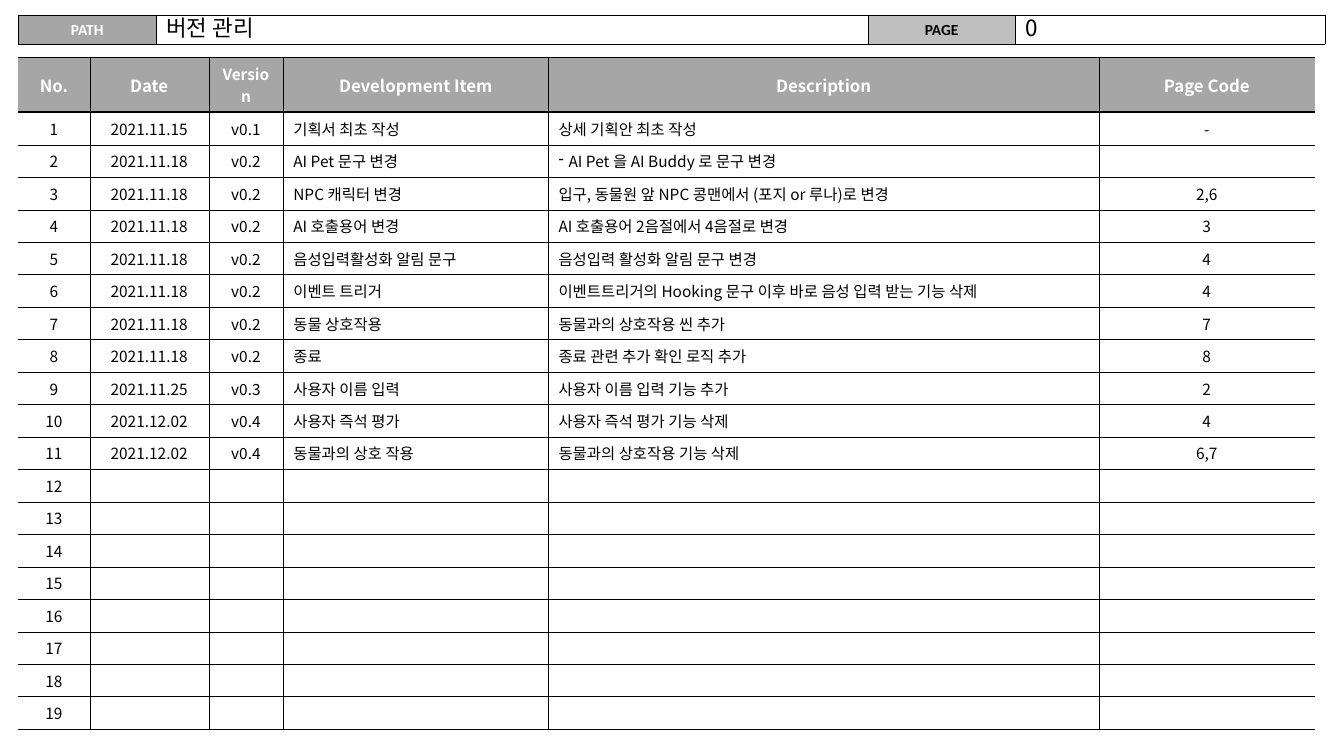
from dataclasses import dataclass

from lxml.etree import SubElement
from pptx import Presentation
from pptx.dml.color import RGBColor
from pptx.enum.text import MSO_ANCHOR, MSO_AUTO_SIZE, PP_ALIGN
from pptx.oxml.ns import qn
from pptx.util import Emu, Inches, Pt

WIDE, HIGH = Inches(13.33), Inches(7.5)
BLACK = RGBColor(0x00, 0x00, 0x00)
WHITE = RGBColor(0xFF, 0xFF, 0xFF)
GRAY = RGBColor(0xA6, 0xA6, 0xA6)
SILVER = RGBColor(0xBF, 0xBF, 0xBF)
SANS, LATIN = "Noto Sans CJK KR", "Calibri"
THIN, THICK = 0.25, 1.5
LEFT, TOP = 1.35, 2.0  # percent of the slide


@dataclass
class Look:
    font: str = SANS
    size: float = 11
    color: RGBColor = BLACK
    bold: bool = False
    fill: RGBColor | None = None
    align: PP_ALIGN = PP_ALIGN.CENTER


@dataclass
class Grid:
    top: float
    cols: list[float]
    rows: list[float]


@dataclass
class Field:
    slot: int
    text: str
    left: float
    width: float


@dataclass
class Entry:
    date: str = ""
    version: str = ""
    item: str = ""
    detail: str = ""
    page: str = ""


BAR = Grid(TOP, [10.28, 52.96, 10.95, 23.03], [3.8])
LOG = Grid(7.6, [5.33, 8.85, 5.55, 19.73, 40.96, 16.05], [7.2] + [4.29] * 19)

FIELDS = [
    Field(0, "버전 관리", LEFT + BAR.cols[0], BAR.cols[1]),
    Field(1, "0", LEFT + sum(BAR.cols[:3]), BAR.cols[3]),
]

HEADS = ["No.", "Date", "Version", "Development Item", "Description", "Page Code"]
DAY = "2021.11.18"
ENTRIES = [
    Entry("2021.11.15", "v0.1", "기획서 최초 작성", "상세 기획안 최초 작성", "-"),
    Entry(DAY, "v0.2", "AI Pet 문구 변경", "- AI Pet 을 AI Buddy 로 문구 변경"),
    Entry(DAY, "v0.2", "NPC 캐릭터 변경",
          "입구, 동물원 앞 NPC 콩맨에서 (포지 or 루나)로 변경", "2,6"),
    Entry(DAY, "v0.2", "AI 호출용어 변경", "AI 호출용어 2음절에서 4음절로 변경", "3"),
    Entry(DAY, "v0.2", "음성입력활성화 알림 문구", "음성입력 활성화 알림 문구 변경", "4"),
    Entry(DAY, "v0.2", "이벤트 트리거",
          "이벤트트리거의 Hooking 문구 이후 바로 음성 입력 받는 기능 삭제", "4"),
    Entry(DAY, "v0.2", "동물 상호작용", "동물과의 상호작용 씬 추가", "7"),
    Entry(DAY, "v0.2", "종료", "종료 관련 추가 확인 로직 추가", "8"),
    Entry("2021.11.25", "v0.3", "사용자 이름 입력", "사용자 이름 입력 기능 추가", "2"),
    Entry("2021.12.02", "v0.4", "사용자 즉석 평가", "사용자 즉석 평가 기능 삭제", "4"),
    Entry("2021.12.02", "v0.4", "동물과의 상호 작용", "동물과의 상호작용 기능 삭제", "6,7"),
]


def across(share: float) -> Emu:
    return Emu(int(WIDE * share / 100))


def down(share: float) -> Emu:
    return Emu(int(HIGH * share / 100))


def style(line, look: Look) -> None:
    """Format the runs of a paragraph, or the size of an empty one."""
    line.alignment = look.align
    for run in line.runs:
        font = run.font
        font.name, font.size, font.bold = look.font, Pt(look.size), look.bold
        font.color.rgb = look.color
        SubElement(run._r.get_or_add_rPr(), qn("a:ea"), typeface=look.font)
    if not line.runs:
        end = SubElement(line._p, qn("a:endParaRPr"), sz=str(int(look.size * 100)))
        for tag in ("a:latin", "a:ea"):
            SubElement(end, qn(tag), typeface=look.font)


def border(cell, sides: dict[str, float]) -> None:
    """Draw the given sides in black; a width of zero means no line."""
    props = cell._tc.get_or_add_tcPr()
    for side in "LRTB":
        width = sides[side]
        edge = SubElement(props, qn(f"a:ln{side}"), w=str(Pt(width)))
        if width:
            paint = SubElement(edge, qn("a:solidFill"))
            SubElement(paint, qn("a:srgbClr"), val=str(BLACK))
        else:
            SubElement(edge, qn("a:noFill"))


def dash(line) -> None:
    props = line._p.get_or_add_pPr()
    props.set("marL", str(Inches(0.1)))
    props.set("indent", str(Inches(-0.1)))
    SubElement(props, qn("a:buChar"), char="-")


def write(cell, text: str, look: Look, sides: dict[str, float]) -> None:
    border(cell, sides)
    if look.fill is None:
        cell.fill.background()
    else:
        cell.fill.solid()
        cell.fill.fore_color.rgb = look.fill
    cell.vertical_anchor = MSO_ANCHOR.MIDDLE
    line = cell.text_frame.paragraphs[0]
    if text.startswith("- "):
        dash(line)
    line.text = text.removeprefix("- ")
    style(line, look)


def lay(slide, grid: Grid):
    """Add an unbanded table sized by the grid."""
    table = slide.shapes.add_table(
        len(grid.rows), len(grid.cols), across(LEFT), down(grid.top),
        across(sum(grid.cols)), down(sum(grid.rows))).table
    table.first_row = table.horz_banding = False
    for col, share in zip(table.columns, grid.cols):
        col.width = across(share)
    for row, share in zip(table.rows, grid.rows):
        row.height = down(share)
    return table


def draw_bar(slide) -> None:
    table = lay(slide, BAR)
    blank = Look(LATIN)
    looks = [Look(LATIN, color=WHITE, bold=True, fill=GRAY), blank,
             Look(LATIN, bold=True, fill=SILVER), blank]
    for col, (text, look) in enumerate(zip(["PATH", "", "PAGE", ""], looks)):
        write(table.cell(0, col), text, look, dict.fromkeys("LRTB", THIN))


def draw_log(slide) -> None:
    table = lay(slide, LOG)
    count, last = len(LOG.rows) - 1, len(HEADS) - 1
    blanks = [Entry()] * (count - len(ENTRIES))
    body = [[str(num), e.date, e.version, e.item, e.detail, e.page]
            for num, e in enumerate(ENTRIES + blanks, 1)]
    for row, texts in enumerate([HEADS] + body):
        for col, text in enumerate(texts):
            if row == 0:
                size = 11 if text == "Version" else 12
                look = Look(size=size, color=WHITE, bold=True, fill=GRAY)
            else:
                look = Look(align=PP_ALIGN.LEFT if col in (3, 4) else PP_ALIGN.CENTER)
            sides = {"L": THIN if col else 0, "R": THIN if col < last else 0,
                     "T": THICK if row < 2 else THIN, "B": THIN if row else THICK}
            write(table.cell(row, col), text, look, sides)


def draw_field(slide, field: Field) -> None:
    box = slide.placeholders[field.slot]
    box.left, box.top = across(field.left), down(TOP)
    box.width, box.height = across(field.width), down(BAR.rows[0])
    frame = box.text_frame
    frame.text = field.text
    frame.auto_size, frame.word_wrap = MSO_AUTO_SIZE.NONE, True
    frame.vertical_anchor = MSO_ANCHOR.TOP
    frame.margin_top, frame.margin_bottom = Inches(0.02), 0
    line = frame.paragraphs[0]
    props = line._p.get_or_add_pPr()
    props.set("marL", "0")
    props.set("indent", "0")
    SubElement(props, qn("a:buNone"))
    line.line_spacing, line.space_before = 0.9, Pt(0)
    style(line, Look(size=16, align=PP_ALIGN.LEFT))
    # Bring the text in front of the tables
    box.element.getparent().append(box.element)


def main() -> None:
    deck = Presentation()
    deck.slide_width, deck.slide_height = WIDE, HIGH
    slide = deck.slides.add_slide(deck.slide_layouts[1])
    # Header bar and version log
    draw_bar(slide)
    draw_log(slide)
    # Title and page number
    for field in FIELDS:
        draw_field(slide, field)
    deck.save("out.pptx")


if __name__ == "__main__":
    main()
